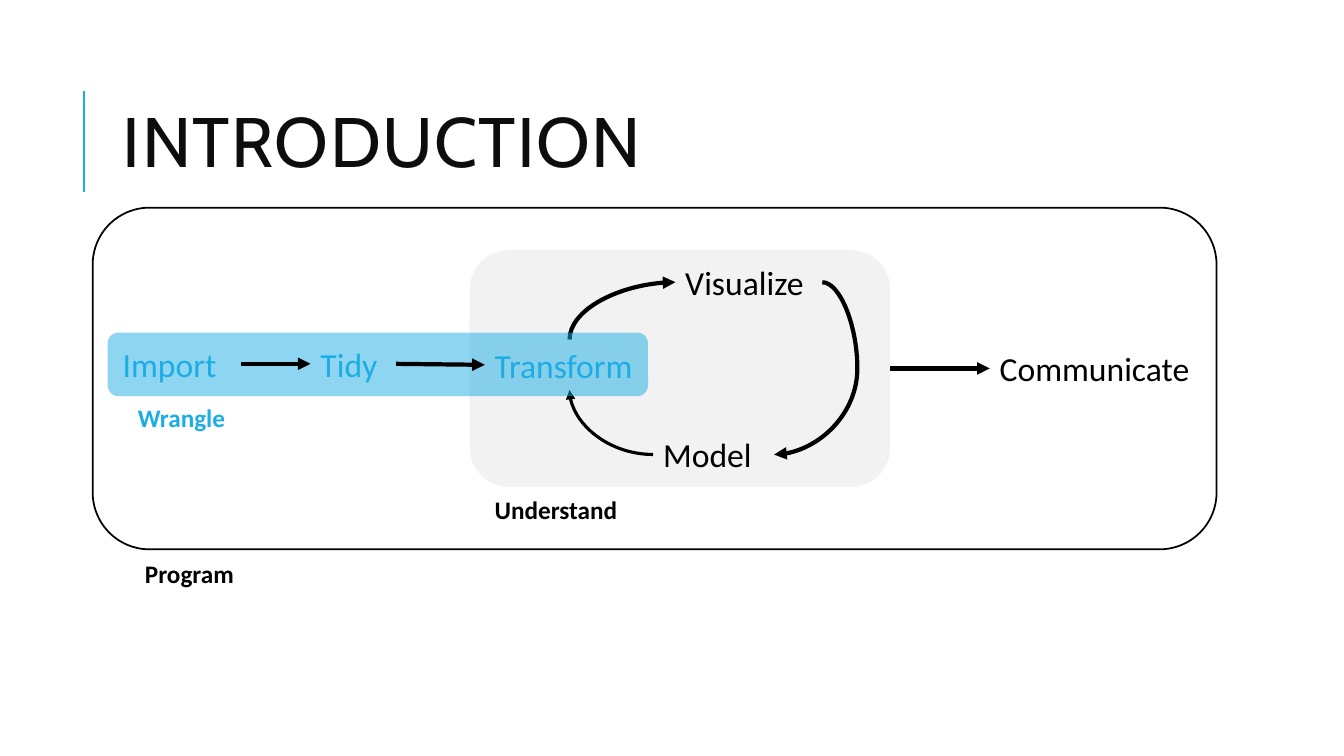
from lxml.etree import SubElement
from pptx import Presentation
from pptx.dml.color import RGBColor
from pptx.enum.shapes import MSO_CONNECTOR, MSO_SHAPE
from pptx.enum.text import MSO_ANCHOR, MSO_AUTO_SIZE, PP_ALIGN
from pptx.oxml.ns import qn
from pptx.util import Pt

BLUE = RGBColor(0x1C, 0xAD, 0xE4)
BLACK = RGBColor(0, 0, 0)
INK = RGBColor(0x0D, 0x0D, 0x0D)
GREY = RGBColor(0xF2, 0xF2, 0xF2)

TOP, LEFT, BOTTOM, RIGHT = range(4)

# Content: boxes are left, top, width, height in points
TITLE = ("INTRODUCTION", (80.6, 46.1, 765.4, 118.1))
ACCENT = (59.8, 136.8, 59.8, 64.8)
UNDERSTAND_PANEL = (335.5, 178.6, 300.4, 169.2)
WRANGLE_BAND = (77, 237.6, 385.9, 45.4)
PROGRAM_FRAME = (66.2, 148.3, 802.8, 244.1)

STEP = {"name": "Calibri", "size": Pt(24), "bold": False}
CAPTION = {"name": "Calibri", "size": Pt(18), "bold": True}
HEADING = {"name": "Cabin", "size": Pt(50), "bold": False}

CYCLE_STEPS = [
    ("Transform", (346.3, 242.6, 121, 36), BLUE),
    ("Visualize", (482.4, 183.6, 105, 36), BLACK),
    ("Model", (466.6, 306.7, 86.4, 36), BLACK),
]
OUTER_STEPS = [
    ("Import", (80.6, 241.9, 91.4, 36), BLUE),
    ("Tidy", (221.8, 241.9, 61.2, 36), BLUE),
    ("Communicate", (707, 245.2, 151.2, 36), BLACK),
]
CAPTIONS = [
    ("Understand", (346.3, 349.9, 151.2, 28.8), BLACK),
    ("Program", (96.5, 395.3, 151.2, 28.8), BLACK),
    ("Wrangle", (91.4, 283.7, 151.2, 28.8), BLUE),
]
# From, side, to, side, line width, preset, bend adjustment
CYCLE = [
    ("Transform", TOP, "Visualize", LEFT, 3, "curvedConnector2", None),
    ("Visualize", RIGHT, "Model", RIGHT, 3, "curvedConnector3", -72800),
    ("Model", LEFT, "Transform", BOTTOM, 2.25, "curvedConnector2", None),
]
FLOW = [("Import", "Tidy"), ("Understand panel", "Communicate"), ("Tidy", "Transform")]


def points(values):
    return [Pt(value) for value in values]


def write(frame, text, style, color):
    paragraph = frame.paragraphs[0]
    run = paragraph.add_run()
    run.text = text
    for key, value in style.items():
        setattr(run.font, key, value)
    run.font.color.rgb = color
    return paragraph, run


def add_label(slide, text, box, style, color):
    label = slide.shapes.add_textbox(*points(box))
    frame = label.text_frame
    frame.word_wrap = True
    frame.auto_size = MSO_AUTO_SIZE.SHAPE_TO_FIT_TEXT
    write(frame, text, style, color)
    return label


def add_panel(slide, box, fill=None, line=None):
    panel = slide.shapes.add_shape(MSO_SHAPE.ROUNDED_RECTANGLE, *points(box))
    panel.shadow.inherit = False
    if fill is None:
        panel.fill.background()
    else:
        panel.fill.solid()
        panel.fill.fore_color.rgb = fill
    if line is None:
        panel.line.fill.background()
    else:
        panel.line.color.rgb = line
        panel.line.width = Pt(1.25)
    return panel


def add_line(slide, kind, ends, color, width, arrow=True):
    line = slide.shapes.add_connector(kind, *points(ends))
    line.line.color.rgb = color
    line.line.width = Pt(width)
    if arrow:
        SubElement(line.line._get_or_add_ln(), qn("a:tailEnd"), type="triangle")
    SubElement(line._element.spPr, qn("a:effectLst"))
    return line


def join(slide, kind, start, start_side, end, end_side, width):
    link = add_line(slide, kind, (0, 0, 0, 0), BLACK, width)
    link.begin_connect(start, start_side)
    link.end_connect(end, end_side)
    return link


def bend(curve, start_side, preset, adjustment):
    geometry = curve._element.spPr.find(qn("a:prstGeom"))
    geometry.set("prst", preset)
    if adjustment is not None:
        SubElement(geometry.find(qn("a:avLst")), qn("a:gd"),
                   name="adj1", fmla=f"val {adjustment}")
    if start_side == TOP:  # leaves upwards: quarter turn about the centre
        shift = (curve.width - curve.height) // 2
        curve.left, curve.top = curve.left + shift, curve.top - shift
        curve.width, curve.height = curve.height, curve.width
        transform = curve._element.spPr.find(qn("a:xfrm"))
        for key, value in {"rot": "5400000", "flipH": "1", "flipV": "1"}.items():
            transform.set(key, value)


def main():
    deck = Presentation()
    deck.slide_width, deck.slide_height = Pt(960), Pt(540)
    slide = deck.slides.add_slide(deck.slide_layouts[5])

    # Title and accent line
    heading, heading_box = TITLE
    title = slide.shapes.title
    title.left, title.top, title.width, title.height = points(heading_box)
    title.text_frame.vertical_anchor = MSO_ANCHOR.MIDDLE
    title.text_frame.auto_size = MSO_AUTO_SIZE.NONE
    paragraph, run = write(title.text_frame, heading, HEADING, INK)
    paragraph.alignment = PP_ALIGN.LEFT
    paragraph.line_spacing = 0.8
    run.font._element.set("spc", "100")
    add_line(slide, MSO_CONNECTOR.STRAIGHT, ACCENT, BLUE, 1.5, arrow=False)

    # Understand cycle
    parts = {"Understand panel": add_panel(slide, UNDERSTAND_PANEL, fill=GREY)}
    for text, box, color in CYCLE_STEPS:
        parts[text] = add_label(slide, text, box, STEP, color)
    for start, start_side, end, end_side, width, preset, adjustment in CYCLE:
        curve = join(slide, MSO_CONNECTOR.CURVE, parts[start], start_side,
                     parts[end], end_side, width)
        bend(curve, start_side, preset, adjustment)

    # Half-transparent wrangle band
    band = add_panel(slide, WRANGLE_BAND, fill=BLUE)
    band_color = band._element.spPr.find(qn("a:solidFill"))[0]
    SubElement(band_color, qn("a:alpha"), val="50000")

    # Outer steps and straight arrows
    for text, box, color in OUTER_STEPS:
        parts[text] = add_label(slide, text, box, STEP, color)
    for start, end in FLOW:
        join(slide, MSO_CONNECTOR.STRAIGHT, parts[start], RIGHT, parts[end], LEFT, 3)

    # Program frame and captions
    add_panel(slide, PROGRAM_FRAME, line=BLACK)
    for text, box, color in CAPTIONS:
        add_label(slide, text, box, CAPTION, color)

    deck.save("out.pptx")


if __name__ == "__main__":
    main()
